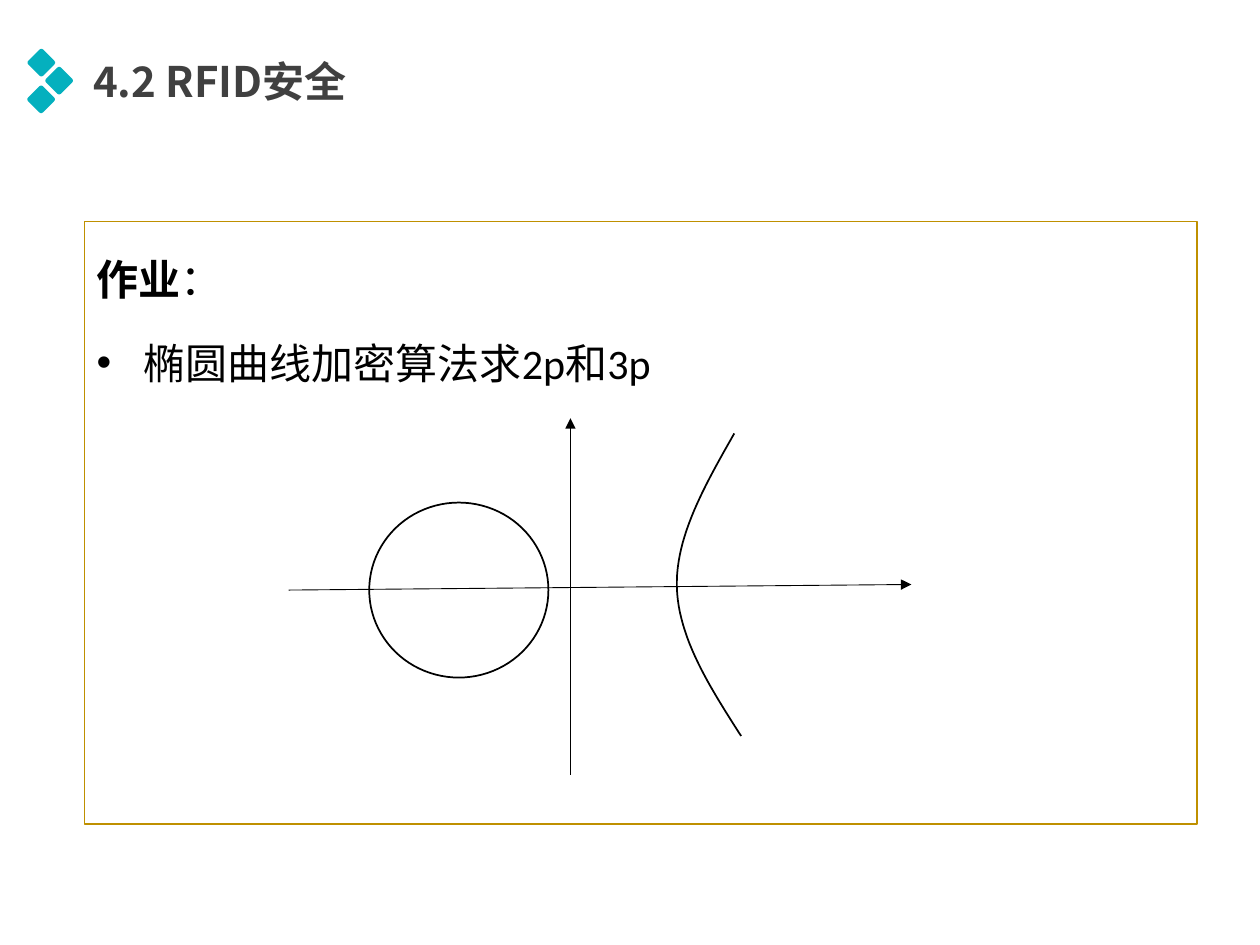
import dataclasses

import pptx
import pptx.dml.color
import pptx.enum.shapes
import pptx.enum.text
import pptx.oxml
import pptx.oxml.ns
import pptx.util

Pt = pptx.util.Pt
Shapes = pptx.enum.shapes.MSO_SHAPE
Anchor = pptx.enum.text.MSO_ANCHOR
Align = pptx.enum.text.PP_ALIGN
DRAWING = pptx.oxml.ns.nsdecls("a")


@dataclasses.dataclass(frozen=True)
class Theme:
    """Colours, fonts and sizes used on the slide."""

    accent: str = "04B0BE"
    frame: str = "BF9000"
    title: str = "404040"
    ink: str = "000000"
    latin: str = "Calibri"
    chinese: str = "Noto Sans CJK SC"
    text_size: float = 24
    frame_width: float = 0.75
    curve_width: float = 1
    axis_width: float = 0.5


THEME = Theme()


def color(value):
    """Return a colour object for a hex string."""
    return pptx.dml.color.RGBColor.from_string(value)


def add_xml(parent, markup):
    """Append one drawing element to a parent element."""
    tag, _, rest = markup.partition(" ")
    parent.append(pptx.oxml.parse_xml(f"<a:{tag} {DRAWING} {rest}/>"))


def set_font(paragraph, latin, ink, bold=False):
    """Set the font shared by all runs of a paragraph."""
    font = paragraph.font
    font.name, font.size, font.bold = latin, Pt(THEME.text_size), bold
    font.color.rgb = color(ink)
    add_xml(font._element, f'ea typeface="{THEME.chinese}"')


def style_outline(shape, ink, width):
    """Give a shape a plain outline without fill or shadow."""
    shape.shadow.inherit = False
    shape.fill.background()
    shape.line.color.rgb = color(ink)
    shape.line.width = Pt(width)


def add_diamond(page, center_x, center_y, side=12):
    """Add one rounded diamond of the title mark."""
    diamond = page.shapes.add_shape(
        Shapes.ROUNDED_RECTANGLE,
        Pt(center_x - side / 2), Pt(center_y - side / 2), Pt(side), Pt(side))
    diamond.adjustments[0] = 0.12
    diamond.rotation = 45
    diamond.shadow.inherit = False
    diamond.fill.solid()
    diamond.fill.fore_color.rgb = color(THEME.accent)
    diamond.line.fill.background()


def add_title(page, text):
    """Add the section title."""
    box = page.shapes.add_textbox(Pt(48.2), Pt(28.8), Pt(369.4), Pt(34.6))
    frame = box.text_frame
    frame.word_wrap = True
    frame.vertical_anchor = Anchor.MIDDLE
    frame.margin_left = frame.margin_right = Pt(5)
    frame.margin_top = frame.margin_bottom = Pt(2.9)
    paragraph = frame.paragraphs[0]
    paragraph.text = text
    set_font(paragraph, THEME.chinese, THEME.title, bold=True)


def add_homework(page, heading, task):
    """Add the framed homework box with its heading and bulleted task."""
    box = page.shapes.add_shape(
        Shapes.RECTANGLE, Pt(48.2), Pt(126.7), Pt(635.8), Pt(344.2))
    style_outline(box, THEME.frame, THEME.frame_width)
    frame = box.text_frame
    frame.word_wrap = True
    frame.vertical_anchor = Anchor.TOP
    first, second = frame.paragraphs[0], frame.add_paragraph()
    for text, bold in ((heading, True), ("：", False)):
        span = first.add_run()
        span.text = text
        span.font.bold = bold
    second.text = task
    second.space_before = Pt(4.8)
    for paragraph in (first, second):
        paragraph.alignment = Align.JUSTIFY
        paragraph.line_spacing = 1.5
    properties = second._p.get_or_add_pPr()
    properties.set("marL", str(Pt(27)))
    properties.set("indent", str(-Pt(27)))
    add_xml(properties, 'buFont typeface="Arial"')
    add_xml(properties, 'buChar char="•"')
    for paragraph in (first, second):
        set_font(paragraph, THEME.latin, THEME.ink)


def add_axis(page, start, end):
    """Add a thin axis with an arrowhead at its end."""
    axis = page.shapes.add_connector(
        pptx.enum.shapes.MSO_CONNECTOR.STRAIGHT, *map(Pt, start + end))
    axis.line.color.rgb = color(THEME.ink)
    axis.line.width = Pt(THEME.axis_width)
    add_xml(axis.line._get_or_add_ln(), 'tailEnd type="triangle"')
    add_xml(axis._element.spPr, "effectLst")


def bezier_points(controls, steps=24):
    """Return points along a cubic curve, without its start."""
    points = []
    for step in range(1, steps + 1):
        t = step / steps
        weights = ((1 - t) ** 3, 3 * t * (1 - t) ** 2, 3 * t * t * (1 - t), t ** 3)
        points.append(tuple(
            Pt(sum(weight * value for weight, value in zip(weights, values)))
            for values in zip(*controls)))
    return points


def add_curve(page, knots):
    """Add an open curve through chained cubic segments."""
    builder = page.shapes.build_freeform(*map(Pt, knots[0]))
    for index in range(0, len(knots) - 1, 3):
        builder.add_line_segments(bezier_points(knots[index:index + 4]), close=False)
    style_outline(builder.convert_to_shape(), THEME.ink, THEME.curve_width)


def add_oval(page, left, top, width, height):
    """Add the closed branch of the elliptic curve."""
    oval = page.shapes.add_shape(
        Shapes.OVAL, Pt(left), Pt(top), Pt(width), Pt(height))
    style_outline(oval, THEME.ink, THEME.curve_width)


def main():
    """Build the slide and save it."""
    deck = pptx.Presentation()
    deck.slide_width, deck.slide_height = Pt(720), Pt(540)
    page = deck.slides.add_slide(deck.slide_layouts[6])
    for center in ((23.6, 35.8), (33.8, 46.1), (23.5, 56.8)):
        add_diamond(page, *center)
    add_homework(page, "作业", "椭圆曲线加密算法求2p和3p")
    add_title(page, "4.2 RFID安全")
    add_oval(page, 211, 287.2, 102.4, 100)
    add_axis(page, (165, 337.2), (520.8, 334))
    add_axis(page, (326, 442.8), (326, 239))
    add_curve(page, ((419.6, 247.7), (403, 277), (386, 306.5), (386.8, 335.5),
                     (387.6, 364.5), (405.5, 392.5), (423.5, 420.6)))
    deck.save("out.pptx")


if __name__ == "__main__":
    main()
